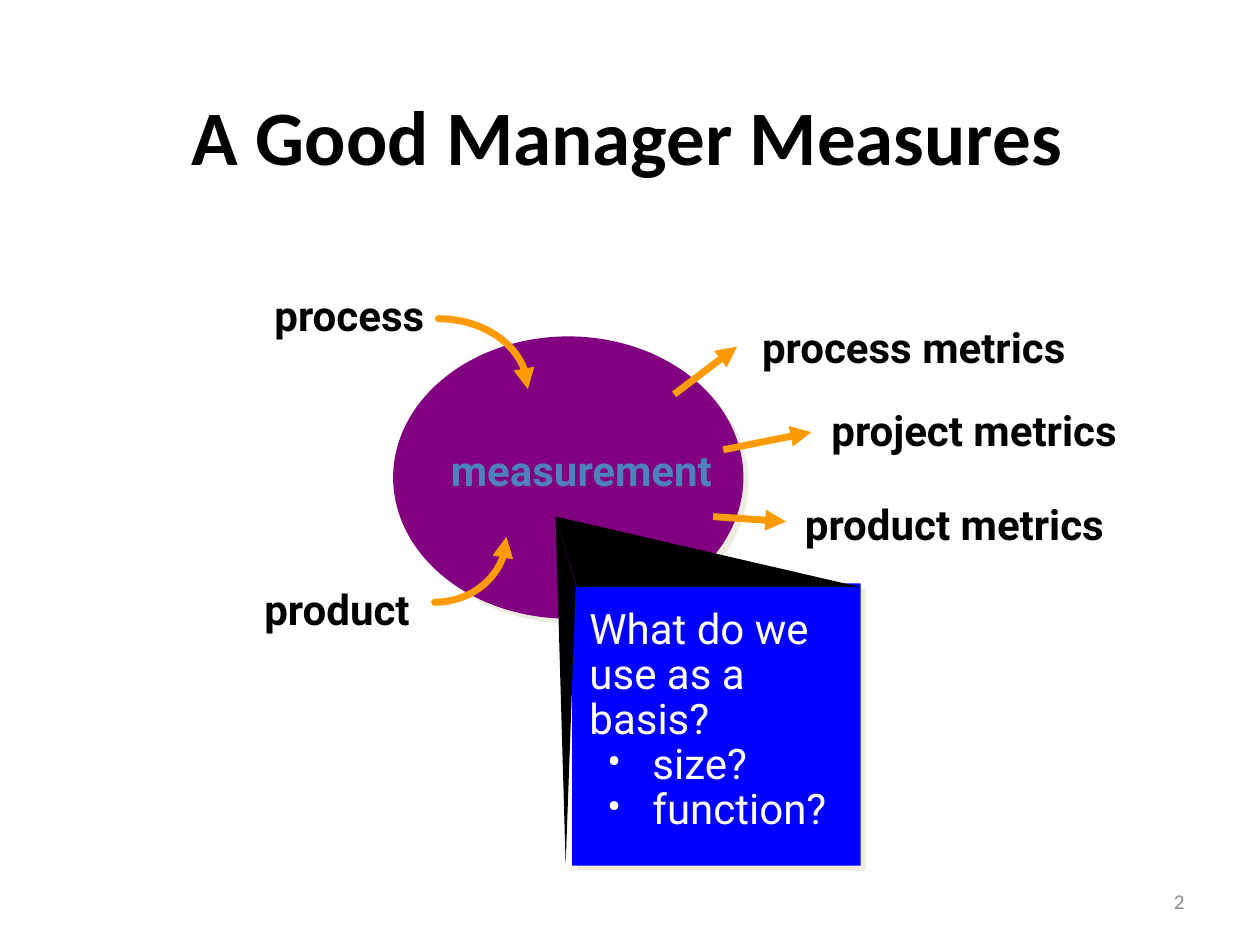
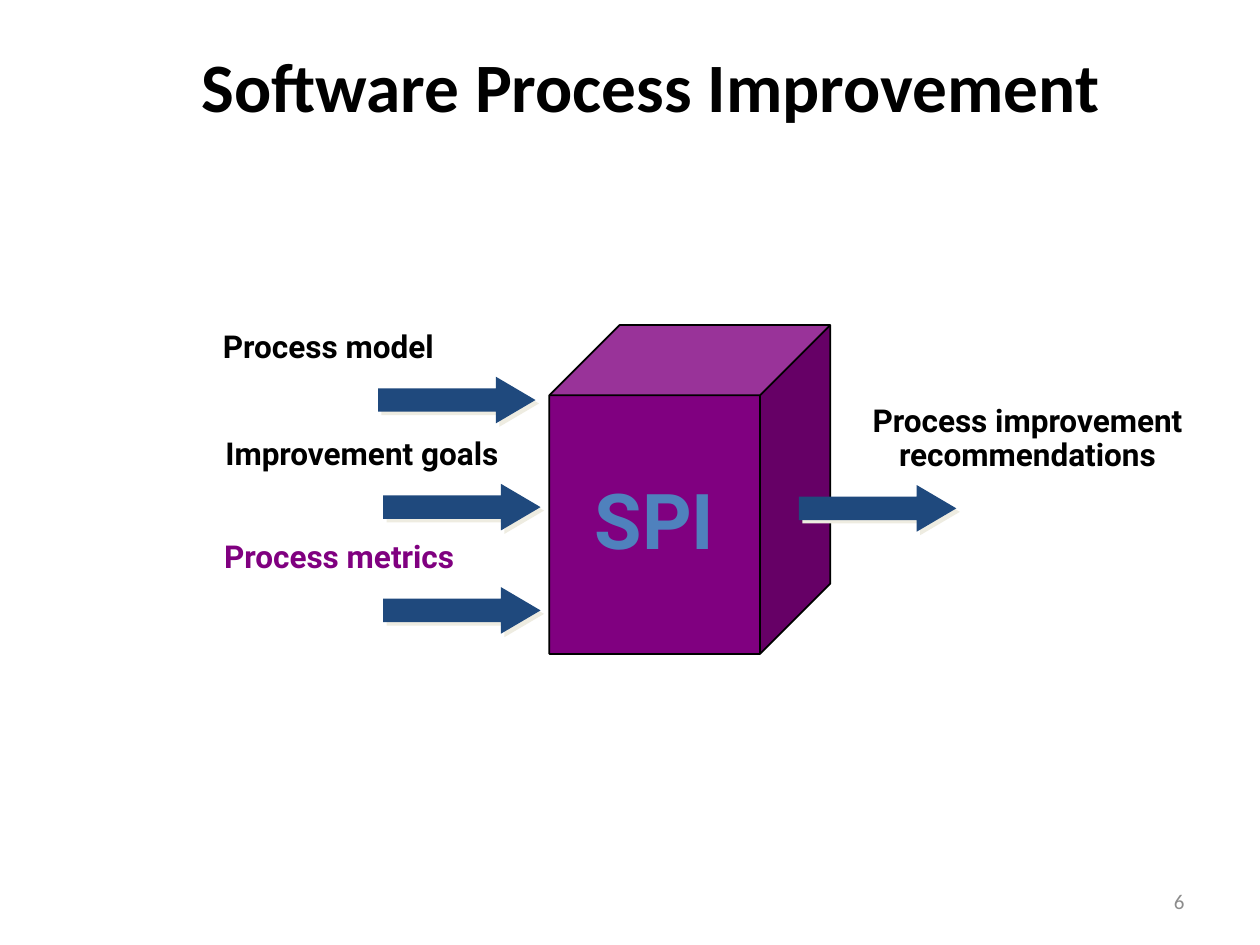
import math
import lxml.etree
import pptx
import pptx.dml.color
import pptx.enum.shapes
import pptx.enum.text
import pptx.oxml.ns
import pptx.util

RGB = pptx.dml.color.RGBColor
BLACK = RGB(0x00, 0x00, 0x00)
WHITE = RGB(0xFF, 0xFF, 0xFF)
GREY = RGB(0x8C, 0x8C, 0x8C)
PURPLE = RGB(0x80, 0x00, 0x80)
BLUE = RGB(0x00, 0x00, 0xFF)
STEEL = RGB(0x4F, 0x81, 0xBD)
NAVY = RGB(0x1F, 0x49, 0x7D)
ORANGE = RGB(0xFE, 0x9B, 0x03)
CREAM = RGB(0xEE, 0xEC, 0xE1)

HEAD, BODY = "Calibri", "Roboto"
COLS, ROWS = 10, 7.5
TITLE_ONLY = 5
FORM = pptx.enum.shapes.MSO_SHAPE
ALIGN = pptx.enum.text.PP_ALIGN
MIDDLE = pptx.enum.text.MSO_ANCHOR.MIDDLE
GROW = pptx.enum.text.MSO_AUTO_SIZE.SHAPE_TO_FIT_TEXT
NO_GROW = pptx.enum.text.MSO_AUTO_SIZE.NONE


def add_tag(node, tag, **attrs):
    return lxml.etree.SubElement(node, pptx.oxml.ns.qn(tag), **attrs)


def write(shape, text, size=24, font=BODY, color=BLACK, bold=True, align=ALIGN.LEFT,
          space=None, wrap=False, grow=False, pad=(0.1, 0.05), middle=False):
    frame = shape.text_frame
    frame.text = text
    frame.word_wrap = wrap
    frame.auto_size = GROW if grow else NO_GROW
    frame.margin_left = frame.margin_right = pptx.util.Inches(pad[0])
    frame.margin_top = frame.margin_bottom = pptx.util.Inches(pad[1])
    if middle:
        frame.vertical_anchor = MIDDLE
    for para in frame.paragraphs:
        para.alignment = align
        if space:
            para.line_spacing = space
        for run in para.runs:
            run.font.size = pptx.util.Pt(size)
            run.font.name = font
            run.font.bold = bold
            run.font.color.rgb = color
    return frame


class Deck:
    def __init__(self):
        self.show = pptx.Presentation()
        self.show.slide_width = pptx.util.Inches(10)
        self.show.slide_height = pptx.util.Inches(7.5)
        self.slide = None

    def col(self, count):
        return round(self.show.slide_width * count / COLS)

    def row(self, count):
        return round(self.show.slide_height * count / ROWS)

    def place(self, left, top, width, height):
        return self.col(left), self.row(top), self.col(width), self.row(height)

    def start(self, title, spot, size, number):
        self.slide = self.show.slides.add_slide(self.show.slide_layouts[TITLE_ONLY])
        head = self.slide.shapes.title
        head.left, head.top, head.width, head.height = self.place(*spot)
        write(head, title, size=size, font=HEAD, align=ALIGN.CENTER, wrap=True,
              pad=(0.07, 0.03), middle=True)
        self.label(number, (7.17, 6.95, 2.33, 0.4), size=12, font=HEAD, color=GREY,
                   bold=False, align=ALIGN.RIGHT, wrap=True, grow=False, middle=True)

    def label(self, text, spot, **style):
        box = self.slide.shapes.add_textbox(*self.place(*spot))
        return write(box, text, **{"grow": True, **style})

    def shape(self, form, spot, fill, edge=None, shade=None, adjust=()):
        item = self.slide.shapes.add_shape(form, *self.place(*spot))
        for index, value in enumerate(adjust):
            item.adjustments[index] = value
        self.paint(item, fill, edge)
        if shade:
            effect = item.element.spPr.find(pptx.oxml.ns.qn("a:effectLst"))
            cast = add_tag(effect, "a:outerShdw", dist=str(pptx.util.Pt(shade)),
                           dir="2700000", algn="ctr", rotWithShape="0")
            add_tag(cast, "a:srgbClr", val=str(CREAM))
        return item

    def paint(self, item, fill, edge=None):
        item.shadow.inherit = False
        item.fill.solid()
        item.fill.fore_color.rgb = fill
        if edge is None:
            item.line.fill.background()
        else:
            item.line.color.rgb = edge
            item.line.width = pptx.util.Pt(1)

    def trace(self, points, close):
        spots = [(self.col(x), self.row(y)) for x, y in points]
        pen = self.slide.shapes.build_freeform(*spots[0], scale=1.0)
        pen.add_line_segments(spots[1:], close=close)
        return pen.convert_to_shape()

    def wedge(self, *points):
        self.paint(self.trace(points, True), BLACK)

    def point(self, item):
        item.line.color.rgb = ORANGE
        item.line.width = pptx.util.Pt(4)
        edge = item.element.spPr.find(pptx.oxml.ns.qn("a:ln"))
        add_tag(edge, "a:tailEnd", type="triangle")
        return edge

    def arrow(self, start, end):
        item = self.slide.shapes.add_connector(
            pptx.enum.shapes.MSO_CONNECTOR.STRAIGHT,
            self.col(start[0]), self.row(start[1]), self.col(end[0]), self.row(end[1]))
        self.point(item)
        add_tag(item.element.spPr, "a:effectLst")

    def bend(self, start, end, steps=24):
        wide, high = end[0] - start[0], end[1] - start[1]
        turns = [math.pi / 2 * step / steps for step in range(steps + 1)]
        item = self.trace([(start[0] + wide * math.sin(turn),
                            start[1] + high * (1 - math.cos(turn))) for turn in turns], False)
        item.shadow.inherit = False
        item.fill.background()
        self.point(item).set("cap", "rnd")

    def block(self, left, top):
        self.shape(FORM.RIGHT_ARROW, (left, top, 1.25, 0.37), NAVY, shade=2.8,
                   adjust=(0.5, 0.85))


def bullet(para):
    props = para._p.get_or_add_pPr()
    props.set("marL", str(pptx.util.Inches(0.5)))
    props.set("indent", str(-pptx.util.Inches(0.36)))
    add_tag(props, "a:buFont", typeface=BODY)
    add_tag(props, "a:buChar", char="•")


def draw_basis(deck):
    deck.start("A Good Manager Measures", (1.42, 0.67, 7.12, 0.8), 44, "2")
    deck.shape(FORM.OVAL, (3.12, 2.67, 2.78, 2.24), PURPLE, shade=4.2)
    deck.shape(FORM.RECTANGLE, (4.54, 4.63, 2.29, 2.24), BLUE, shade=4.2)
    deck.label("measurement", (3.48, 3.48, 2.37, 0.5), color=STEEL)
    frame = deck.label("What do we use as a basis?\nsize?\nfunction?",
                       (4.58, 4.78, 2.25, 1.9), color=WHITE, bold=False,
                       space=pptx.util.Pt(25.6), wrap=True, grow=False)
    for para in frame.paragraphs[1:]:
        bullet(para)
    for text, left, top, width in (
            ("process", 2.08, 2.25, 1.48),
            ("product", 2, 4.58, 1.44),
            ("process metrics", 5.95, 2.5, 2.76),
            ("project metrics", 6.5, 3.16, 2.59),
            ("product metrics", 6.29, 3.91, 2.72)):
        deck.label(text, (left, top, width, 0.5))
    deck.bend((3.48, 2.53), (4.19, 3.09))
    deck.bend((3.45, 4.78), (4.02, 4.26))
    deck.wedge((4.41, 4.1), (6.83, 4.66), (4.58, 4.66))
    deck.wedge((4.41, 4.1), (4.49, 6.86), (4.57, 4.64))
    deck.arrow((5.35, 3.13), (5.85, 2.75))
    deck.arrow((5.74, 3.57), (6.44, 3.43))
    deck.arrow((5.66, 4.1), (6.24, 4.14))


def draw_cube(deck):
    deck.start("Software Process Improvement", (1, 0.33, 8.33, 0.69), 39.6, "6")
    cube = deck.shape(FORM.CUBE, (4.36, 2.58, 2.23, 2.61), PURPLE, edge=BLACK,
                      adjust=(0.25,))
    write(cube, "SPI", size=44, color=STEEL, align=ALIGN.CENTER, space=0.9, middle=True)
    for text, left, top, width, start, color in (
            ("Process model", 1.67, 2.58, 1.98, 3, BLACK),
            ("Improvement goals", 1.69, 3.43, 2.49, 3.04, BLACK),
            ("Process metrics", 1.68, 4.25, 2.13, 3.04, PURPLE)):
        deck.label(text, (left, top, width, 0.37), size=18, color=color, space=0.9)
        deck.block(start, top + 0.41)
    deck.label("Process improvement\nrecommendations", (6.75, 3.17, 2.81, 0.64),
               size=18, align=ALIGN.CENTER, space=0.9)
    deck.block(6.34, 3.85)


deck = Deck()
draw_basis(deck)
draw_cube(deck)
deck.show.save("out.pptx")
